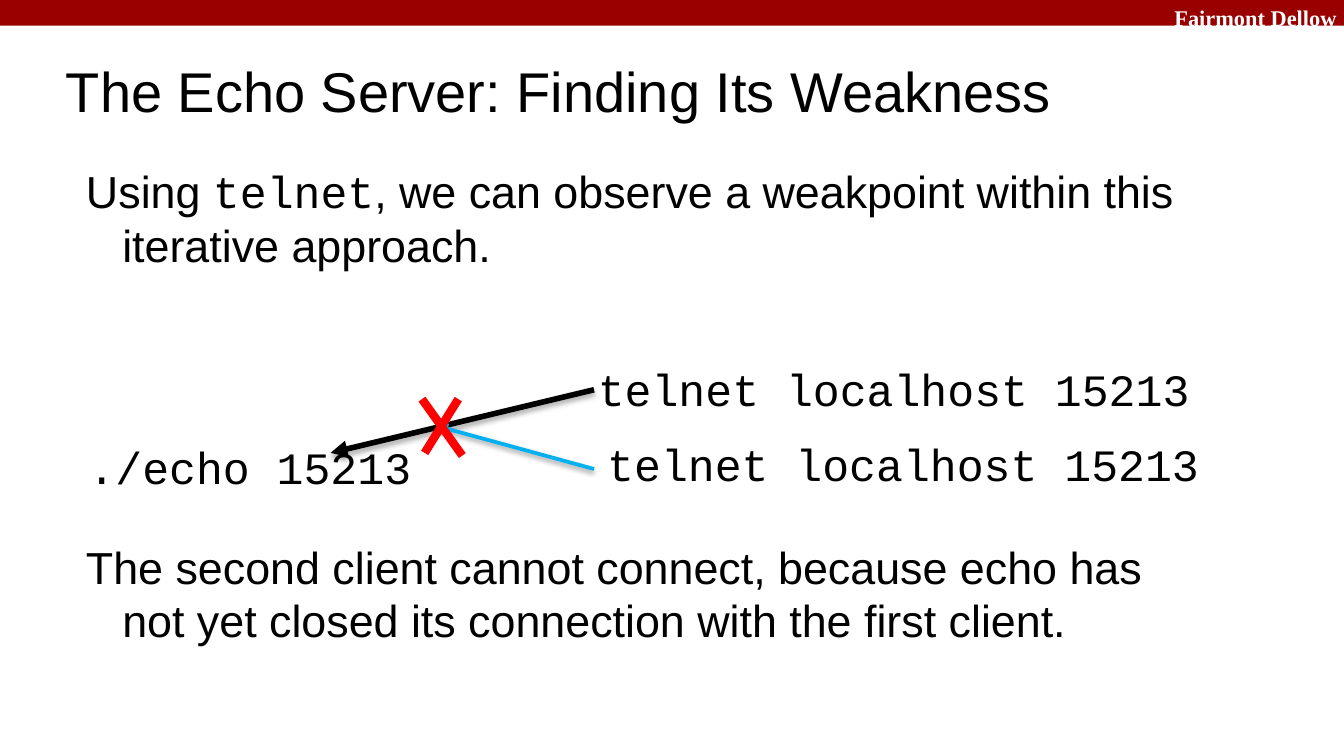
from lxml.etree import SubElement
from pptx import Presentation
from pptx.dml.color import RGBColor
from pptx.enum.shapes import MSO_CONNECTOR, MSO_SHAPE
from pptx.enum.text import MSO_ANCHOR, MSO_AUTO_SIZE, PP_ALIGN
from pptx.oxml.ns import qn
from pptx.util import Inches, Pt

BLACK = RGBColor(0x00, 0x00, 0x00)
WHITE = RGBColor(0xFF, 0xFF, 0xFF)
CRIMSON = RGBColor(0x99, 0x00, 0x00)
SKY = RGBColor(0x00, 0xB0, 0xF0)
RED = RGBColor(0xFF, 0x00, 0x00)
SANS, MONO, SERIF = "Arial", "Courier New", "Times New Roman"
WIDTH = 10
HEIGHT = WIDTH * 9 / 16


def place(shape, box):
    shape.left, shape.top, shape.width, shape.height = map(Inches, box)


def prepare_frame(shape, anchor=MSO_ANCHOR.TOP, vertical_margin=0.1):
    frame = shape.text_frame
    frame.word_wrap = True
    frame.auto_size = MSO_AUTO_SIZE.NONE
    frame.vertical_anchor = anchor
    frame.margin_left = frame.margin_right = Inches(0.1)
    frame.margin_top = frame.margin_bottom = Inches(vertical_margin)
    return frame


def format_paragraph(paragraph, margin=0, indent=0, before=0):
    """Set a left-aligned paragraph without bullet; margin and indent in inches."""
    paragraph.alignment = PP_ALIGN.LEFT
    paragraph.line_spacing = 1.0
    paragraph.space_before = Pt(before)
    paragraph.space_after = Pt(0)
    properties = paragraph._p.get_or_add_pPr()
    properties.set("marL", str(Inches(margin)))
    properties.set("indent", str(Inches(indent)))
    SubElement(properties, qn("a:buNone"))


def add_run(paragraph, text, size, font=SANS, color=BLACK, bold=False):
    run = paragraph.add_run()
    run.text = text
    run.font.name = font
    run.font.size = Pt(size)
    run.font.bold = bold
    run.font.color.rgb = color


def add_text_box(slide, box, text, size, font, color=BLACK, bold=False,
                 vertical_margin=0.1):
    shape = slide.shapes.add_textbox(*map(Inches, box))
    paragraph = prepare_frame(shape, vertical_margin=vertical_margin).paragraphs[0]
    format_paragraph(paragraph)
    add_run(paragraph, text, size, font, color, bold)


def add_line(slide, start, end, color, width, arrow=False, shadow_alpha=0):
    """Draw a line, with an optional arrowhead and a soft shadow below it."""
    line = slide.shapes.add_connector(MSO_CONNECTOR.STRAIGHT,
                                      *map(Inches, (*start, *end)))
    line.line.color.rgb = color
    line.line.width = Pt(width)
    if arrow:
        SubElement(line.line._get_or_add_ln(), qn("a:tailEnd"), type="triangle")
    effects = SubElement(line._element.spPr, qn("a:effectLst"))
    if shadow_alpha:
        shadow = SubElement(effects, qn("a:outerShdw"), blurRad=str(Pt(3.1)),
                            dist=str(Pt(1.7)), dir="5400000", rotWithShape="0")
        shade = SubElement(shadow, qn("a:srgbClr"), val=str(BLACK))
        SubElement(shade, qn("a:alpha"), val=str(shadow_alpha * 1000))


def add_banner(slide, box):
    left, top, width, height = box
    banner = slide.shapes.add_shape(MSO_SHAPE.RECTANGLE, *map(Inches, box))
    banner.shadow.inherit = False
    banner.fill.solid()
    banner.fill.fore_color.rgb = CRIMSON
    banner.line.fill.background()
    add_text_box(slide, (left + 0.864 * width, top - 0.02, 1.43, 0.23),
                 "Fairmont Dellow", 12, SERIF, WHITE, bold=True,
                 vertical_margin=0.05)


def fill_title(slide, box):
    title = slide.shapes.title
    place(title, box)
    paragraph = prepare_frame(title, MSO_ANCHOR.MIDDLE).paragraphs[0]
    format_paragraph(paragraph, 0.13, -0.13)
    add_run(paragraph, "The Echo Server: Finding Its Weakness", 30)


def fill_body(slide, box):
    """Place two statements, leaving room between them for the diagram."""
    body = slide.placeholders[1]
    place(body, box)
    frame = prepare_frame(body)
    statements = [
        (0, [("Using ", SANS), ("telnet", MONO),
             (", we can observe a weakpoint within this iterative approach.", SANS)]),
        (143.5, [("The second client cannot connect, because echo has "
                  "not yet closed its connection with the first client.", SANS)]),
    ]
    for index, (before, runs) in enumerate(statements):
        paragraph = frame.add_paragraph() if index else frame.paragraphs[0]
        format_paragraph(paragraph, 0.38, -0.27, before)
        for text, font in runs:
            add_run(paragraph, text, 24, font)


def add_connection_diagram(slide, box):
    """Show two clients reaching for one server, the second one blocked."""
    left, top, _, _ = box

    def at(x, y):
        return left + x, top + y

    client, server = "telnet localhost 15213", "./echo 15213"
    for x, y, width, command in ((3.79, 0, 4.97, client),
                                 (0, 0.58, 2.69, server),
                                 (3.86, 0.56, 4.97, client)):
        add_text_box(slide, (*at(x, y), width, 0.84), command, 24, MONO)

    add_line(slide, at(3.86, 0.31), at(1.9, 0.78), BLACK, 3, True, 35)
    add_line(slide, at(3.86, 0.9), at(2.69, 0.58), SKY, 2, True, 38)
    for start, end in (((2.58, 0.38), (2.88, 0.8)), ((2.85, 0.38), (2.6, 0.78))):
        add_line(slide, at(*start), at(*end), RED, 4.5)


def main():
    presentation = Presentation()
    presentation.slide_width = Inches(WIDTH)
    presentation.slide_height = Inches(HEIGHT)
    slide = presentation.slides.add_slide(presentation.slide_layouts[1])
    add_banner(slide, (0, 0, WIDTH, 0.19))
    fill_title(slide, (0.39, 0.36, 8.3, 0.62))
    fill_body(slide, (0.43, 1.12, 8.64, 4.08))
    add_connection_diagram(slide, (0.56, 2.59, 8.83, 1.42))
    presentation.save("out.pptx")


if __name__ == "__main__":
    main()
